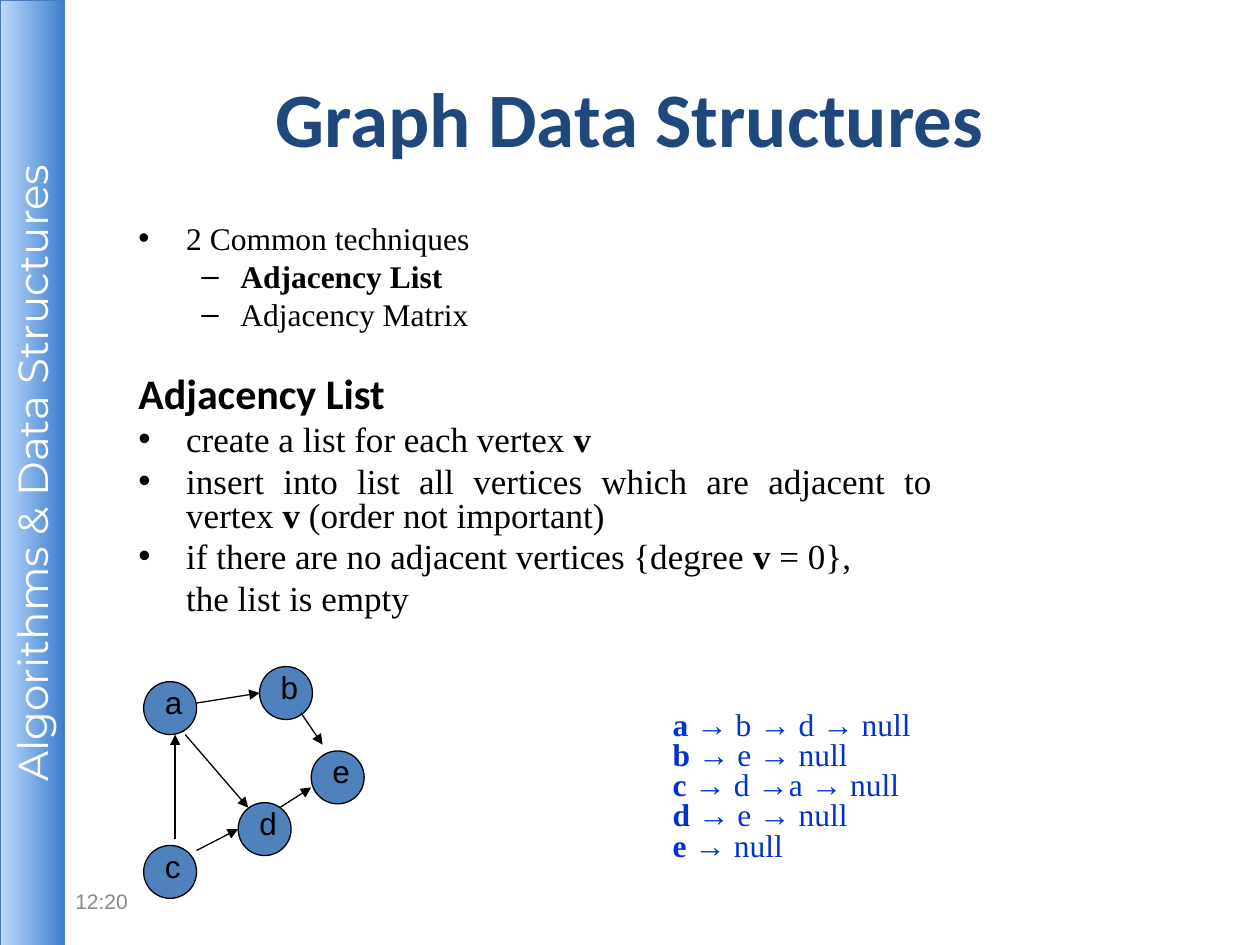
from dataclasses import dataclass

from lxml import etree
from pptx import Presentation
from pptx.dml.color import RGBColor
from pptx.enum.shapes import MSO_CONNECTOR as Link, MSO_SHAPE as Shape
from pptx.enum.text import MSO_ANCHOR as Anchor, PP_ALIGN as Align
from pptx.oxml.ns import qn
from pptx.util import Inches, Pt


@dataclass(frozen=True)
class Theme:
    # Colours
    bar_light: str = "BDDBFE"
    bar_dark: str = "3E7FCD"
    bar_line: str = "4A7DBB"
    white: str = "FFFFFF"
    black: str = "000000"
    title: str = "1F497D"
    node: str = "4F81BD"
    lists: str = "0033CC"
    muted: str = "898989"
    # Fonts
    serif: str = "Times New Roman"
    sans: str = "Arial"
    heading: str = "Calibri"
    banner: str = "Montserrat"
    # Type sizes
    title_size: int = 44
    heading_size: int = 24
    text_size: int = 20
    small_size: int = 18
    clock_size: int = 12
    line_width: float = 0.75


class SlideBuilder:
    def __init__(self, page, theme):
        self.page = page
        self.theme = theme

    def style(self, span, font, size, color, bold=False):
        span.font.name = font
        span.font.size = Pt(size)
        span.font.color.rgb = RGBColor.from_string(color)
        span.font.bold = bold

    def outline(self, line, color):
        line.color.rgb = RGBColor.from_string(color)
        line.width = Pt(self.theme.line_width)

    def text_box(self, left, top, width, height, anchor=Anchor.TOP, wrap=True):
        box = self.page.shapes.add_textbox(
            Inches(left), Inches(top), Inches(width), Inches(height))
        box.text_frame.word_wrap = wrap
        box.text_frame.vertical_anchor = anchor
        return box.text_frame

    def label(self, text, place, font, size, color, bold=False,
              align=Align.LEFT, anchor=Anchor.TOP, wrap=True):
        frame = self.text_box(*place, anchor, wrap)
        frame.text = text
        para = frame.paragraphs[0]
        para.alignment = align
        self.style(para.runs[0], font, size, color, bold)

    def paragraph(self, frame, text, font, size, color, left=0, first=0,
                  before=0, bullet=None, align=Align.LEFT):
        """Add a paragraph; asterisks enclose bold text."""
        para = frame.paragraphs[0]
        if para.runs:
            para = frame.add_paragraph()
        para.alignment = align
        para.line_spacing = 0.8
        para.space_before = Pt(before)
        props = para._p.get_or_add_pPr()
        props.set("marL", str(Inches(left)))
        props.set("indent", str(Inches(first)))
        if bullet:
            etree.SubElement(props, qn("a:buFont"), typeface=self.theme.sans)
            etree.SubElement(props, qn("a:buChar"), char=bullet)
        for part, words in enumerate(text.split("*")):
            for piece in words.replace("→", "|→|").split("|"):
                if piece:
                    span = para.add_run()
                    span.text = piece
                    face = self.theme.sans if piece == "→" else font
                    self.style(span, face, size, color, part % 2 == 1)

    def side_bar(self, text, length, width):
        theme = self.theme
        bar = self.page.shapes.add_shape(
            Shape.RECTANGLE, Inches((width - length) / 2),
            Inches((length - width) / 2), Inches(length), Inches(width))
        bar.rotation = 270
        bar.shadow.inherit = False
        bar.fill.gradient()
        bar.fill.gradient_angle = 270
        for stop, color in zip(bar.fill.gradient_stops,
                               (theme.bar_light, theme.bar_dark)):
            stop.color.rgb = RGBColor.from_string(color)
        self.outline(bar.line, theme.bar_line)
        frame = bar.text_frame
        frame.margin_left = frame.margin_right = Inches(0.04)
        frame.margin_top = frame.margin_bottom = Inches(0.04)
        frame.vertical_anchor = Anchor.MIDDLE
        frame.text = text
        para = frame.paragraphs[0]
        para.alignment = Align.CENTER
        self.style(para.runs[0], theme.banner, theme.heading_size, theme.white)

    def node(self, name, left, top):
        theme = self.theme
        circle = self.page.shapes.add_shape(
            Shape.OVAL, Inches(left), Inches(top), Inches(0.42), Inches(0.42))
        circle.shadow.inherit = False
        circle.fill.solid()
        circle.fill.fore_color.rgb = RGBColor.from_string(theme.node)
        self.outline(circle.line, theme.black)
        self.label(name, (left + 0.07, top - 0.04, 0.34, 0.4), theme.sans,
                   theme.small_size, theme.black, wrap=False)

    def arrow(self, *ends):
        edge = self.page.shapes.add_connector(
            Link.STRAIGHT, *(Inches(value) for value in ends))
        self.outline(edge.line, self.theme.black)
        etree.SubElement(edge.line._get_or_add_ln(), qn("a:tailEnd"),
                         type="triangle")
        etree.SubElement(edge._element.spPr, qn("a:effectLst"))


def main():
    deck = Presentation()
    deck.slide_width, deck.slide_height = Inches(10), Inches(7.5)
    theme = Theme()
    slide = SlideBuilder(deck.slides.add_slide(deck.slide_layouts[6]), theme)

    # Side bar and title
    slide.side_bar("Algorithms & Data Structures", 7.51, 0.51)
    slide.label("Graph Data Structures", (0.5, 0.3, 9, 1.25), theme.heading,
                theme.title_size, theme.title, True, Align.CENTER,
                Anchor.MIDDLE)

    # Body: techniques, then the adjacency list rules
    body = slide.text_box(1, 1.75, 6.5, 4.95)
    techniques = [
        ("2 Common techniques", 0.38, -0.38, "•"),
        ("*Adjacency List*", 0.81, -0.31, "–"),
        ("Adjacency Matrix", 0.81, -0.31, "–"),
    ]
    for text, left, first, bullet in techniques:
        slide.paragraph(body, text, theme.serif, theme.small_size, theme.black,
                        left, first, 4.2, bullet)
    slide.paragraph(body, "*Adjacency List*", theme.heading,
                    theme.heading_size, theme.black, 0.38, -0.38, 26)
    rules = [
        ("create a list for each vertex *v*", "•"),
        ("insert into list all vertices which are adjacent to "
         "vertex *v* (order not important)", "•"),
        ("if there are no adjacent vertices {degree *v* = 0},", "•"),
        ("the list is empty", None),
    ]
    for text, bullet in rules:
        slide.paragraph(body, text, theme.serif, theme.text_size, theme.black,
                        0.38, -0.38 if bullet else 0, 4.6, bullet,
                        Align.JUSTIFY)

    # Graph: nodes and directed edges
    nodes = {"a": (1.14, 5.41), "b": (2.06, 5.29), "c": (1.14, 6.71),
             "e": (2.47, 5.96), "d": (1.89, 6.37)}
    for name, corner in nodes.items():
        slide.node(name, *corner)
    edges = [
        (1.56, 5.58, 2.06, 5.5),    # a to b
        (1.47, 5.83, 1.97, 6.41),   # a to d
        (1.39, 6.66, 1.39, 5.83),   # c to a
        (2.39, 5.66, 2.56, 5.91),   # b to e
        (1.56, 6.75, 1.89, 6.58),   # c to d
        (2.22, 6.41, 2.47, 6.25),   # d to e
    ]
    for ends in edges:
        slide.arrow(*ends)

    # Adjacency lists of the graph
    lists = slide.text_box(3.74, 5.6, 5, 1.31)
    for text in ("*a* → b → d → null", "*b* → e → null",
                 "*c* → d →a → null", "*d* → e → null", "*e* → null"):
        slide.paragraph(lists, text, theme.serif, theme.small_size,
                        theme.lists, 1.5, align=Align.JUSTIFY)

    # Clock
    slide.label("12:20", (0.5, 6.95, 2.33, 0.4), theme.sans, theme.clock_size,
                theme.muted, anchor=Anchor.MIDDLE)

    deck.save("out.pptx")


if __name__ == "__main__":
    main()
